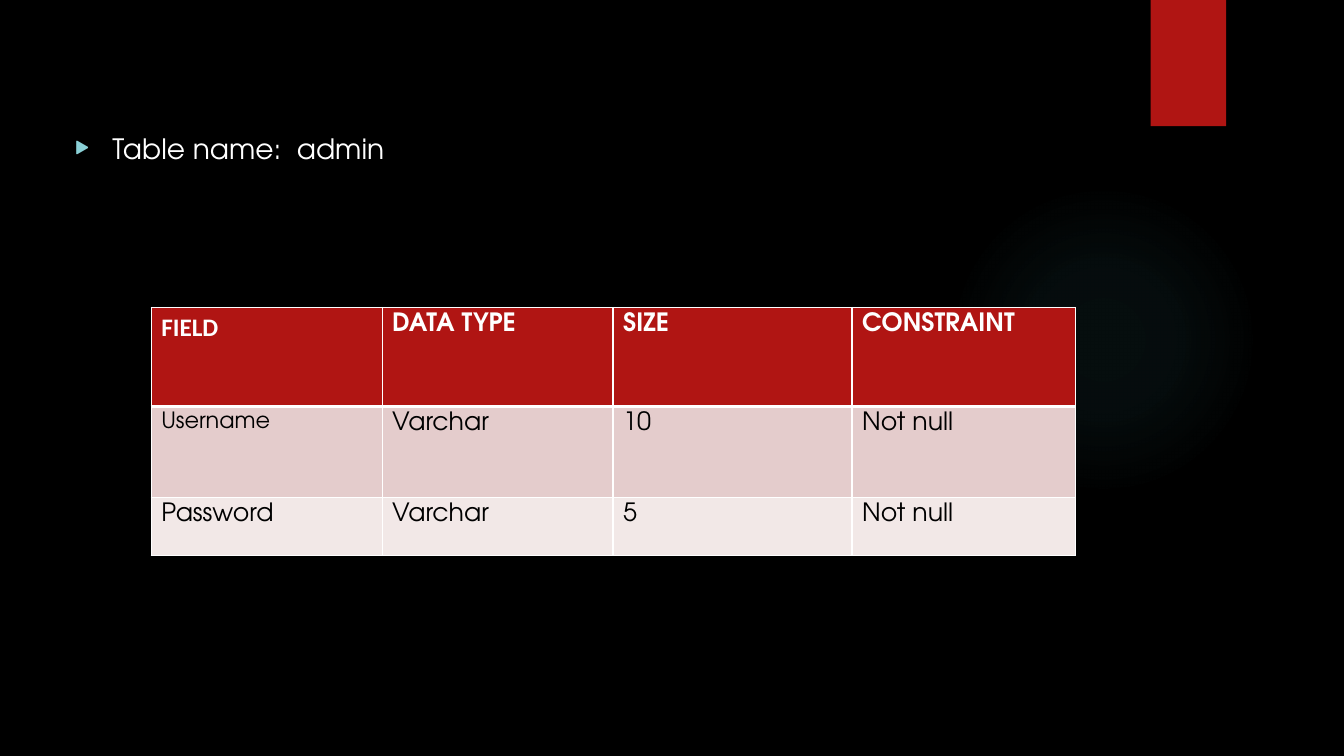
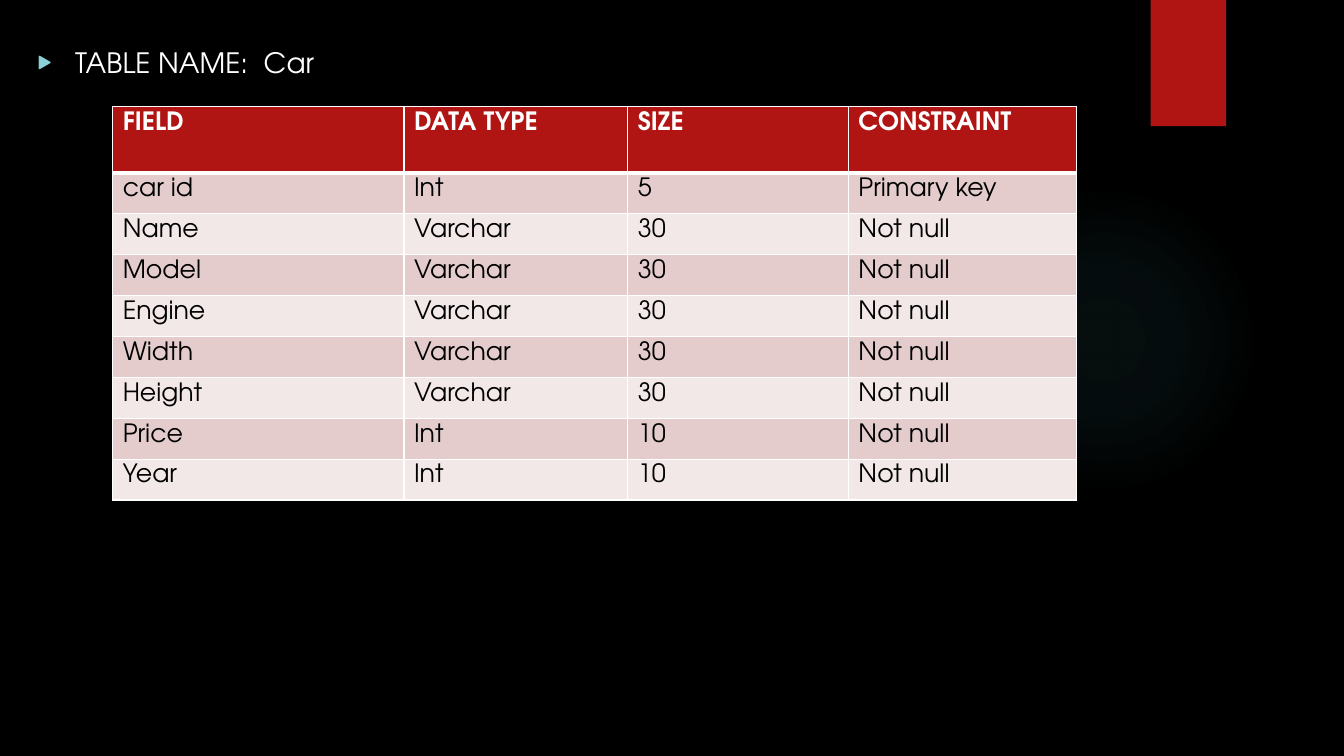
"""Build two slides that describe database tables."""
import pptx
import pptx.util
import pptx.dml.color
import pptx.enum.shapes
import pptx.enum.text
import pptx.oxml
import pptx.oxml.ns
from lxml import etree

Cm = pptx.util.Cm
Pt = pptx.util.Pt
qn = pptx.oxml.ns.qn
KINDS = pptx.enum.shapes.MSO_SHAPE


def shade(code):
    return pptx.dml.color.RGBColor.from_string(code)


def format(item, values):
    for name, value in values.items():
        setattr(item, name, value)


def node(owner, tag, **values):
    return etree.SubElement(owner, qn(tag), values)


class Deck:
    FONT = "TeX Gyre Adventor"
    BLACK, WHITE, RED = "000000", "FFFFFF", "B01513"
    BANDS = ("E4CCCC", "F2E8E7")
    TEAL, SKY = "50B9C1", "8AD0D6"
    GLOW = ((0, 7), (36, 6), (69, 0))
    HEAD = ("FIELD", "DATA TYPE", "SIZE", "CONSTRAINT")

    def __init__(self):
        self.file = pptx.Presentation()
        format(self.file, {"slide_width": Cm(33.87), "slide_height": Cm(19.05)})
        fill = self.file.slide_master.background.fill
        fill.solid()
        fill.fore_color.rgb = shade(self.BLACK)
        self.slide = None

    def start(self, text, left, top):
        self.slide = self.file.slides.add_slide(self.file.slide_layouts[5])
        self.glow(23.9, 4.65, 7.82)
        self.band(29, 0, 1.9, 3.18)
        self.title(text, left, top)

    def shape(self, kind, *box):
        shape = self.slide.shapes.add_shape(kind, *map(Cm, box))
        shape.shadow.inherit = False
        shape.line.fill.background()
        return shape

    def glow(self, left, top, size):
        shape = self.shape(KINDS.OVAL, left, top, size, size)
        grad = etree.Element(qn("a:gradFill"), rotWithShape="1")
        stops = node(grad, "a:gsLst")
        for place, alpha in self.GLOW:
            stop = node(stops, "a:gs", pos=str(place * 1000))
            tint = node(stop, "a:srgbClr", val=self.TEAL)
            node(tint, "a:alpha", val=str(alpha * 1000))
        ring = node(grad, "a:path", path="circle")
        node(ring, "a:fillToRect", **dict.fromkeys("ltrb", "50000"))
        shape.element.spPr.find(qn("a:prstGeom")).addnext(grad)

    def band(self, *box):
        fill = self.shape(KINDS.RECTANGLE, *box).fill
        fill.solid()
        fill.fore_color.rgb = shade(self.RED)

    def title(self, text, left, top):
        title = self.slide.shapes.title
        format(title, {"left": Cm(left), "top": Cm(top),
                       "width": Cm(26), "height": Cm(1.3)})
        format(title.text_frame, {
            "text": text, "word_wrap": True,
            "auto_size": pptx.enum.text.MSO_AUTO_SIZE.NONE,
            "vertical_anchor": pptx.enum.text.MSO_ANCHOR.TOP})
        para = title.text_frame.paragraphs[0]
        para.alignment = pptx.enum.text.PP_ALIGN.LEFT
        props = para._p.get_or_add_pPr()
        props.set("marL", str(Cm(0.95)))
        props.set("indent", str(-Cm(0.95)))
        node(node(props, "a:buClr"), "a:srgbClr", val=self.SKY)
        node(props, "a:buSzPct", val="65000")
        node(props, "a:buFont", typeface=self.FONT)
        node(props, "a:buChar", char="▶")
        self.ink(title, self.WHITE, size=Pt(20))

    def ink(self, owner, color, **values):
        font = owner.text_frame.paragraphs[0].runs[0].font
        format(font, {"name": self.FONT, "size": Pt(18), "bold": False, **values})
        font.color.rgb = shade(color)

    def edge(self, cell, **widths):
        props = cell._tc.get_or_add_tcPr()
        for spot, side in enumerate("LRTB"):
            line = etree.Element(qn("a:ln" + side), w=str(Pt(widths.get(side, 1))))
            node(node(line, "a:solidFill"), "a:srgbClr", val=self.WHITE)
            props.insert(spot, line)

    def cell(self, cell, text, row):
        head = row == 0
        format(cell, {"text": text, "margin_top": Cm(0.13), "margin_bottom": 0})
        cell.fill.solid()
        cell.fill.fore_color.rgb = shade(self.RED if head else self.BANDS[(row - 1) % 2])
        self.ink(cell, self.WHITE if head else self.BLACK, bold=head)
        self.edge(cell, B=3 if head else 1, T=3 if row == 1 else 1)

    def table(self, left, top, wide, high, rows):
        rows = [self.HEAD, *rows]
        box = map(Cm, (left, top, sum(wide), sum(high)))
        table = self.slide.shapes.add_table(len(rows), len(wide), *box).table
        for col, width in zip(table.columns, wide):
            col.width = Cm(width)
        for index, (row, height) in enumerate(zip(table.rows, high)):
            row.height = Cm(height)
            for cell, text in zip(row.cells, rows[index]):
                self.cell(cell, text, index)
        return table


def main():
    deck = Deck()
    deck.start("Table name:  admin", 1.63, 3.18)
    table = deck.table(3.81, 7.75, (5.82, 5.82, 6.02, 5.64), (2.49, 2.29, 1.47), (
        ("Username", "Varchar", "10", "Not null"),
        ("Password", "Varchar", "5", "Not null")))
    deck.ink(table.cell(0, 0), deck.WHITE, name="Calibri", bold=True)
    deck.ink(table.cell(1, 0), deck.BLACK, size=Pt(16))

    deck.start("TABLE NAME:  Car", 0.69, 1.02)
    texts = [(name, "Varchar", "30", "Not null")
             for name in ("Name", "Model", "Engine", "Width", "Height")]
    whole = [(name, "Int", "10", "Not null") for name in ("Price", "Year")]
    deck.table(2.84, 2.69, (7.34, 5.64, 5.56, 5.74), [1.67] + [1.03] * 8,
               [("car id", "Int", "5", "Primary key"), *texts, *whole])
    deck.file.save("out.pptx")


if __name__ == "__main__":
    main()
